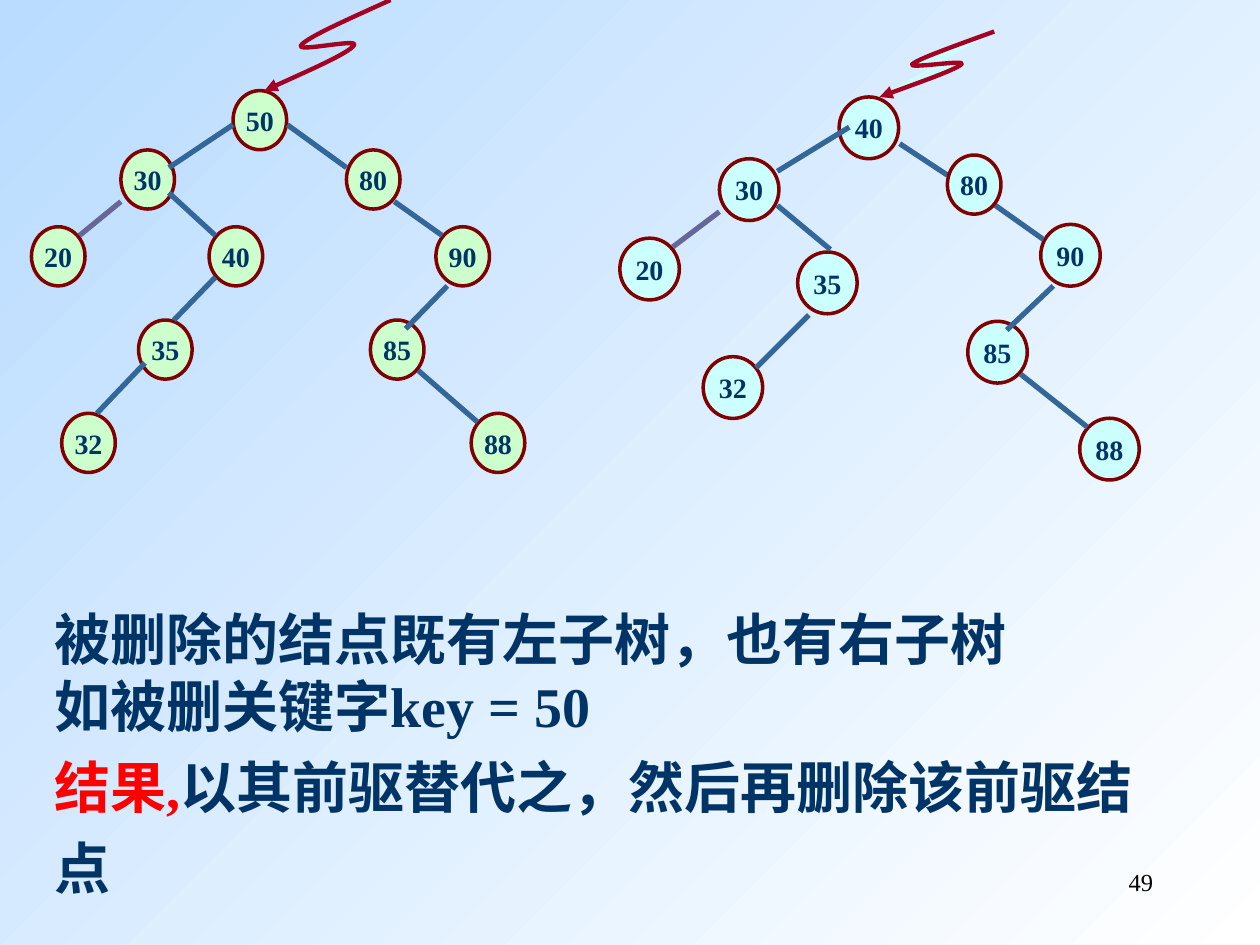
"""Build a slide showing a binary search tree before and after deleting its root."""
import pptx
import pptx.dml.color
import pptx.enum.shapes
import pptx.enum.text
import pptx.oxml.ns
import pptx.oxml.xmlchemy
import pptx.util

Pt = pptx.util.Pt
RGBColor = pptx.dml.color.RGBColor
ALIGN = pptx.enum.text.PP_ALIGN
new_element = pptx.oxml.xmlchemy.OxmlElement

SKY = RGBColor(0xB9, 0xDC, 0xFF)
WHITE = RGBColor(0xFF, 0xFF, 0xFF)
BLACK = RGBColor(0x00, 0x00, 0x00)
NAVY = RGBColor(0x00, 0x33, 0x66)
RED = RGBColor(0xFF, 0x00, 0x00)
MAROON = RGBColor(0x80, 0x00, 0x00)
CRIMSON = RGBColor(0xA5, 0x00, 0x21)
BLUE = RGBColor(0x33, 0x66, 0x99)
PURPLE = RGBColor(0x66, 0x66, 0x99)
GREEN = RGBColor(0xCC, 0xFF, 0xCC)
CYAN = RGBColor(0xCC, 0xFF, 0xFF)

FONT = "Times New Roman"
SMALL = (30.6, 33.8)
LARGE = (34, 35.3)

BEFORE_NODES = [
    ("50", 133.2, 51.8), ("30", 69.1, 85.7), ("80", 198, 85.7),
    ("20", 18, 129.6), ("40", 119.5, 129.6), ("90", 249.1, 129.6),
    ("35", 79.2, 182.9), ("85", 211.7, 182.9),
    ("32", 35.3, 236.2), ("88", 269.3, 236.2),
]
BEFORE_EDGES = [
    (133.2, 71.3, 96.5, 95.8), (164.2, 71.3, 198, 95.8),
    (96.5, 110.2, 123.1, 134.6), (123.1, 158.4, 99.4, 182.9),
    (225.4, 115.2, 252.7, 134.6), (255.6, 163.4, 231.8, 187.9),
    (239, 211.7, 272.9, 241.2), (82.8, 207.4, 55.4, 236.2),
]
BEFORE_LEAF_EDGE = (69.1, 115.2, 45.4, 134.6)
BEFORE_POINTER = [
    (223.2, 0), (199.4, 10.8), (175, 21.6), (172.1, 25.9), (168.5, 30.2),
    (205.9, 21.6), (202.3, 25.9), (199.4, 30.2), (175, 41), (151.2, 51.8),
]

AFTER_NODES = [
    ("40", 479.5, 55.4), ("30", 411.1, 90.7), ("20", 354.2, 136.1),
    ("35", 455.8, 144), ("90", 594.7, 128.2), ("85", 553, 183.6),
    ("32", 401.8, 203.8), ("88", 617, 239),
]
AFTER_EDGES = [
    (485.3, 72.7, 444.2, 97.9), (444.2, 117.4, 474.5, 142.6),
    (514.1, 82.1, 541.4, 100.1), (568.8, 117.4, 596.2, 136.8),
    (601.9, 163.4, 575.3, 188.6), (583.2, 213.8, 621.4, 244.1),
    (462.2, 180, 432, 210.2),
]
AFTER_LEAF_EDGE = (411.1, 121, 384.5, 141.1)
AFTER_POINTER = [
    (568.1, 18), (546.5, 25.9), (524.2, 33.8), (521.3, 36.7), (518.4, 39.6),
    (552.2, 33.8), (549.4, 36.7), (546.5, 39.6), (524.2, 47.5), (502.6, 55.4),
]

EXPLANATION = [
    [("被删除的结点既有左子树，也有右子树", NAVY)],
    [("如被删关键字key = 50", NAVY)],
    [("结果,", RED), ("以其前驱替代之，然后再删除该前驱结点", NAVY)],
]


def style_font(font, size, color, bold):
    """Apply the slide's typeface with the given size, colour and weight."""
    font.name = FONT
    font.size = Pt(size)
    font.bold = bold
    font.color.rgb = color


def paint_background(page):
    """Fill the page with a diagonal sky-to-white gradient."""
    fill = page.background.fill
    fill.gradient()
    fill.gradient_angle = 315
    for stop, color in zip(fill.gradient_stops, (SKY, WHITE)):
        stop.color.rgb = color


def add_node(page, label, left, top, size, color):
    """Add one labelled tree node."""
    node = page.shapes.add_shape(
        pptx.enum.shapes.MSO_SHAPE.OVAL, Pt(left), Pt(top), Pt(size[0]), Pt(size[1]))
    node.shadow.inherit = False
    node.fill.solid()
    node.fill.fore_color.rgb = color
    node.line.color.rgb = MAROON
    node.line.width = Pt(2)
    frame = node.text_frame
    frame.text = label
    frame.word_wrap = False
    frame.vertical_anchor = pptx.enum.text.MSO_ANCHOR.MIDDLE
    para = frame.paragraphs[0]
    para.alignment = ALIGN.CENTER
    style_font(para.runs[0].font, 16, NAVY, True)


def add_edge(page, ends, color):
    """Add one straight tree edge."""
    edge = page.shapes.add_connector(
        pptx.enum.shapes.MSO_CONNECTOR.STRAIGHT, *(Pt(value) for value in ends))
    edge.line.color.rgb = color
    edge.line.width = Pt(3)
    edge._element.spPr.append(new_element("a:effectLst"))


def add_pointer(page, points, color=None):
    """Add a curved arrow through a start point and triples of Bezier points."""
    corners = [(Pt(x), Pt(y)) for x, y in points]
    builder = page.shapes.build_freeform(*corners[0], scale=1.0)
    builder.add_line_segments(corners[1:], close=False)
    pointer = builder.convert_to_shape()
    pointer.shadow.inherit = False
    if color is None:
        pointer.fill.background()
    else:
        pointer.fill.solid()
        pointer.fill.fore_color.rgb = color
    pointer.line.color.rgb = CRIMSON
    pointer.line.width = Pt(2.5)
    segments = list(pointer._element.iter(pptx.oxml.ns.qn("a:lnTo")))
    for first in range(0, len(segments), 3):
        curve = new_element("a:cubicBezTo")
        segments[first].addprevious(curve)
        for segment in segments[first:first + 3]:
            curve.append(segment[0])
            segment.getparent().remove(segment)
    arrowhead = new_element("a:tailEnd")
    arrowhead.set("type", "triangle")
    pointer._element.spPr.find(pptx.oxml.ns.qn("a:ln")).append(arrowhead)


def add_tree(page, nodes, size, color, edges, leaf_edge):
    """Add a tree's nodes, then the edges over them."""
    for label, left, top in nodes:
        add_node(page, label, left, top, size, color)
    for ends in edges:
        add_edge(page, ends, BLUE)
    add_edge(page, leaf_edge, PURPLE)


def add_text(page, bounds, paragraphs, size, bold):
    """Add a wrapping text box from lists of coloured spans."""
    box = page.shapes.add_textbox(*(Pt(value) for value in bounds))
    frame = box.text_frame
    frame.word_wrap = True
    for index, spans in enumerate(paragraphs):
        para = frame.add_paragraph() if index else frame.paragraphs[0]
        for text, color in spans:
            span = para.add_run()
            span.text = text
            style_font(span.font, size, color, bold)
    return frame


def main():
    """Assemble and save the slide."""
    deck = pptx.Presentation()
    deck.slide_width, deck.slide_height = Pt(720), Pt(540)
    page = deck.slides.add_slide(deck.slide_layouts[6])
    paint_background(page)

    number = add_text(page, (516.2, 491.8, 149.8, 36), [[("49", BLACK)]], 14, False)
    number.paragraphs[0].alignment = ALIGN.RIGHT
    explanation = add_text(page, (23.8, 342, 660, 176.4), EXPLANATION, 32, True)
    explanation.paragraphs[-1].line_spacing = 1.2

    add_tree(page, BEFORE_NODES, SMALL, GREEN, BEFORE_EDGES, BEFORE_LEAF_EDGE)
    add_pointer(page, BEFORE_POINTER)
    add_tree(page, AFTER_NODES, LARGE, CYAN, AFTER_EDGES, AFTER_LEAF_EDGE)
    add_pointer(page, AFTER_POINTER, CYAN)
    add_node(page, "80", 541.4, 88.6, SMALL, CYAN)

    deck.save("out.pptx")


if __name__ == "__main__":
    main()
